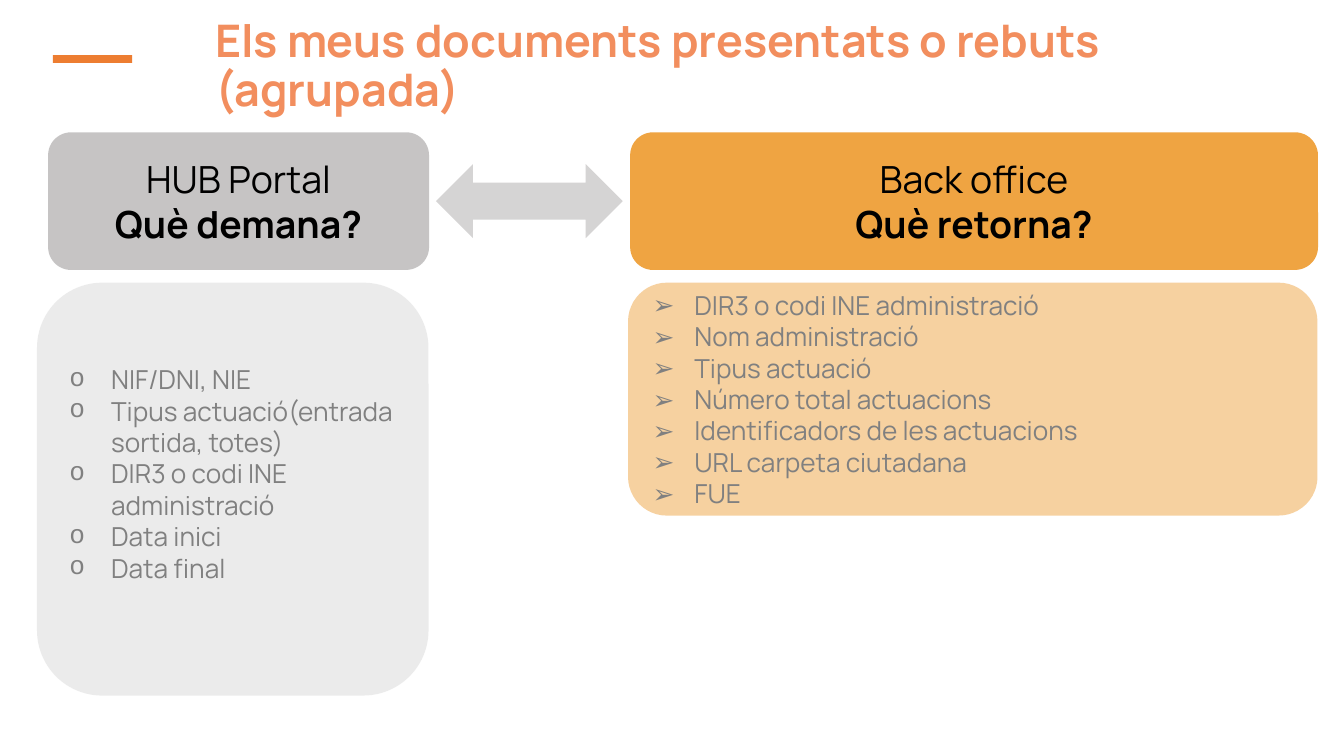
from dataclasses import dataclass

from lxml import etree
from pptx import Presentation
from pptx.dml.color import RGBColor
from pptx.enum.shapes import MSO_SHAPE
from pptx.enum.text import MSO_ANCHOR, MSO_AUTO_SIZE, PP_ALIGN
from pptx.oxml.ns import qn
from pptx.util import Cm, Pt

RECTANGLE = MSO_SHAPE.RECTANGLE
ROUNDED = MSO_SHAPE.ROUNDED_RECTANGLE
DOUBLE_ARROW = MSO_SHAPE.LEFT_RIGHT_ARROW
TOP, MIDDLE = MSO_ANCHOR.TOP, MSO_ANCHOR.MIDDLE
LEFT, CENTER = PP_ALIGN.LEFT, PP_ALIGN.CENTER
NO_AUTOFIT = MSO_AUTO_SIZE.NONE


@dataclass(frozen=True)
class Theme:
    font: str = "Manrope"
    title_color: str = "F28E5E"
    accent: str = "ED7D31"
    request: str = "767171"
    request_list: str = "D9D9D9"
    response: str = "EFA442"
    heading_color: str = "000000"
    list_color: str = "808080"
    title_size: int = 24
    heading_size: int = 20
    list_size: int = 14


class SlideBuilder:
    """Hold the theme and the current slide, and draw each kind of element."""

    def __init__(self, slide, theme):
        self.slide = slide
        self.theme = theme

    def style(self, paragraph, size, color, bold=False):
        font = paragraph.font
        font.name = self.theme.font
        font.size = Pt(size)
        font.bold = bold
        font.color.rgb = RGBColor.from_string(color)

    def title(self, text, left, top, width, height):
        shape = self.slide.shapes.title
        shape.left, shape.top, shape.width, shape.height = map(Cm, (left, top, width, height))
        frame = shape.text_frame
        frame.text = text
        frame.word_wrap = True
        frame.auto_size = NO_AUTOFIT
        frame.vertical_anchor = TOP
        paragraph = frame.paragraphs[0]
        paragraph.alignment = LEFT
        paragraph.line_spacing = 0.9
        paragraph._p.get_or_add_pPr().set("marL", str(Cm(0.13)))
        self.style(paragraph, self.theme.title_size, self.theme.title_color, bold=True)

    def block(self, kind, left, top, width, height, color, opacity=100):
        shape = self.slide.shapes.add_shape(kind, Cm(left), Cm(top), Cm(width), Cm(height))
        shape.shadow.inherit = False
        shape.line.fill.background()
        shape.fill.solid()
        shape.fill.fore_color.rgb = RGBColor.from_string(color)
        if opacity < 100:
            color_element = shape.fill._xPr.find(qn("a:solidFill"))[0]
            etree.SubElement(color_element, qn("a:alpha"), val=str(opacity * 1000))
        return shape

    def fill_text(self, shape, lines):
        frame = shape.text_frame
        frame.word_wrap = True
        frame.vertical_anchor = MIDDLE
        frame.text = "\n".join(lines)
        return frame.paragraphs

    def heading(self, shape, system, question):
        for paragraph, bold in zip(self.fill_text(shape, (system, question)), (False, True)):
            paragraph.alignment = CENTER
            self.style(paragraph, self.theme.heading_size, self.theme.heading_color, bold)

    def bullet_list(self, shape, items, bullet, bullet_font, bottom_inset=0.13):
        shape.text_frame.margin_bottom = Cm(bottom_inset)
        for paragraph in self.fill_text(shape, items):
            paragraph.alignment = LEFT
            properties = paragraph._p.get_or_add_pPr()
            properties.set("marL", str(Cm(0.79)))
            properties.set("indent", str(-Cm(0.79)))
            etree.SubElement(properties, qn("a:buFont"), typeface=bullet_font)
            etree.SubElement(properties, qn("a:buChar"), char=bullet)
            self.style(paragraph, self.theme.list_size, self.theme.list_color)


def main():
    theme = Theme()
    presentation = Presentation()
    presentation.slide_width, presentation.slide_height = Cm(25.4), Cm(14.28)
    slide = presentation.slides.add_slide(presentation.slide_layouts[5])
    builder = SlideBuilder(slide, theme)

    builder.block(RECTANGLE, 1, 1.04, 1.5, 0.15, theme.accent)
    builder.title("Els meus documents presentats o rebuts (agrupada)", 3.68, 0.23, 21.2, 1.4)

    heading_top, heading_height, list_top = 2.5, 2.6, 5.34
    request_list = builder.block(ROUNDED, 0.7, list_top, 7.4, 7.8, theme.request_list, 50)
    builder.bullet_list(
        request_list,
        (
            "NIF/DNI, NIE",
            "Tipus actuació(entrada sortida, totes)",
            "DIR3 o codi INE administració",
            "Data inici",
            "Data final",
        ),
        "o", "Courier New", bottom_inset=0.72,
    )
    response_list = builder.block(ROUNDED, 11.87, list_top, 13.03, 4.4, theme.response, 50)
    builder.bullet_list(
        response_list,
        (
            "DIR3 o codi INE administració",
            "Nom administració",
            "Tipus actuació",
            "Número total actuacions",
            "Identificadors de les actuacions",
            "URL carpeta ciutadana",
            "FUE",
        ),
        "➢", theme.font,
    )

    request = builder.block(ROUNDED, 0.91, heading_top, 7.2, heading_height, theme.request, 41)
    builder.heading(request, "HUB Portal", "Què demana?")
    response = builder.block(ROUNDED, 11.91, heading_top, 13, heading_height, theme.response)
    builder.heading(response, "Back office", "Què retorna?")
    builder.block(DOUBLE_ARROW, 8.24, 3.1, 3.53, 1.4, theme.request, 30)

    presentation.save("out.pptx")


if __name__ == "__main__":
    main()
